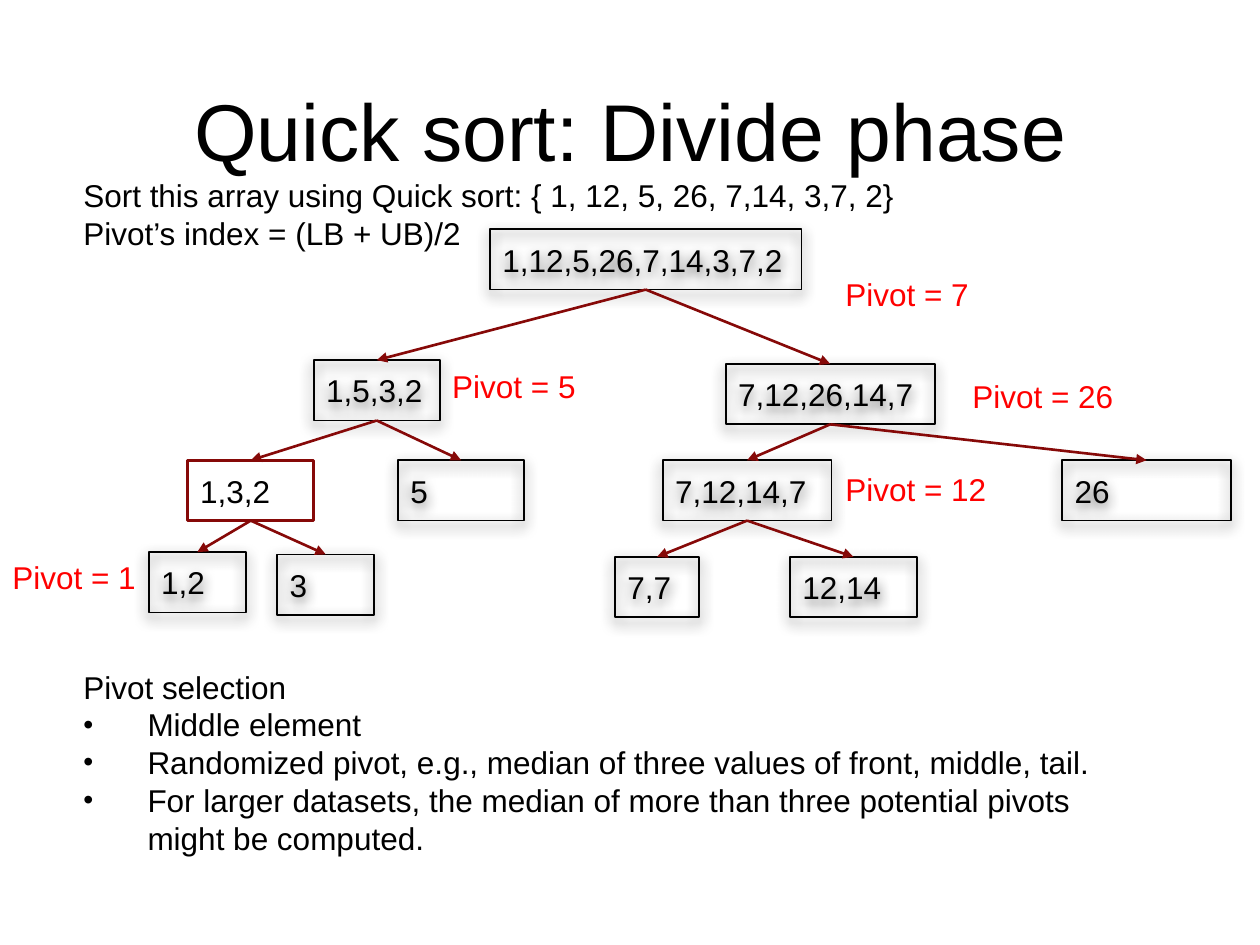
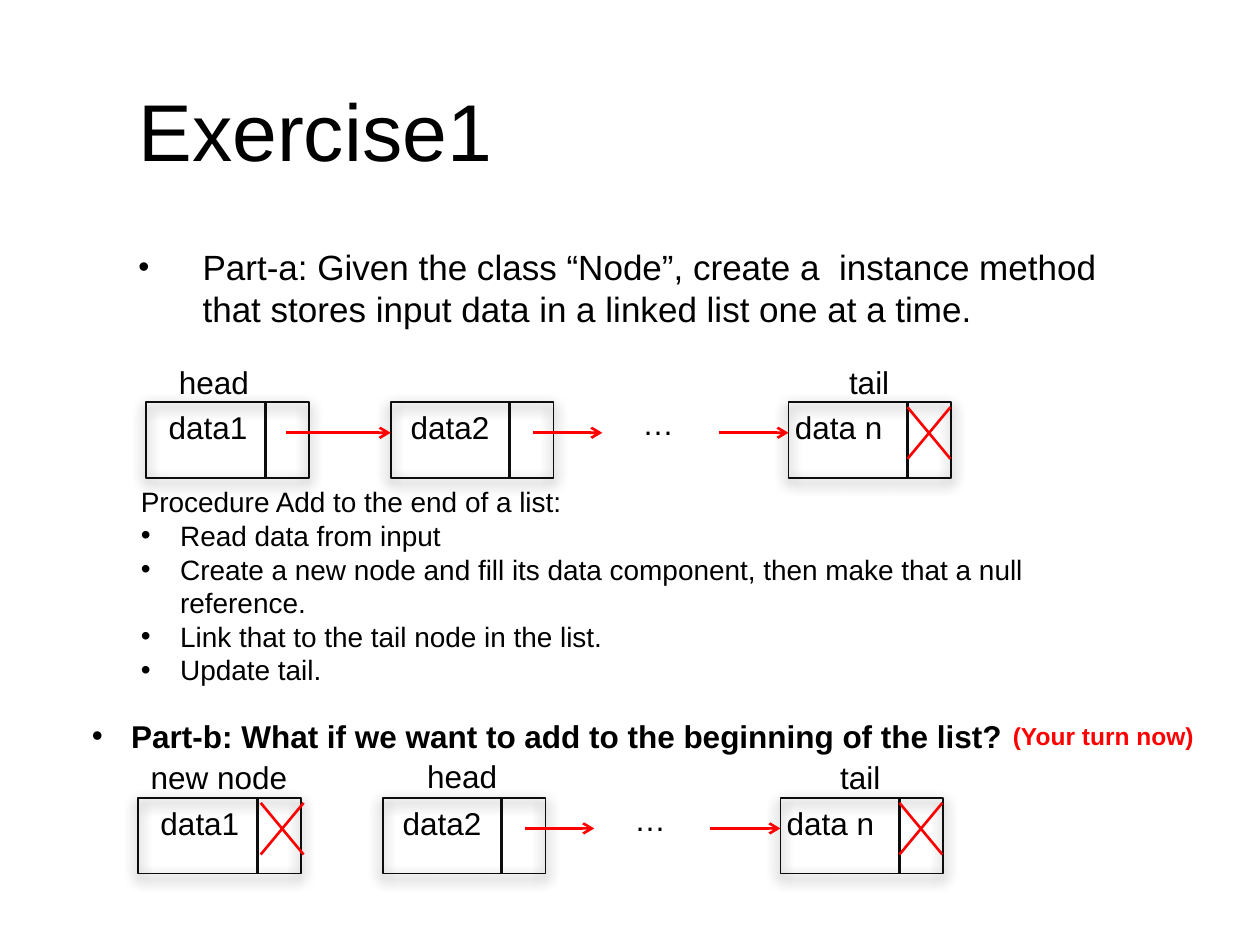
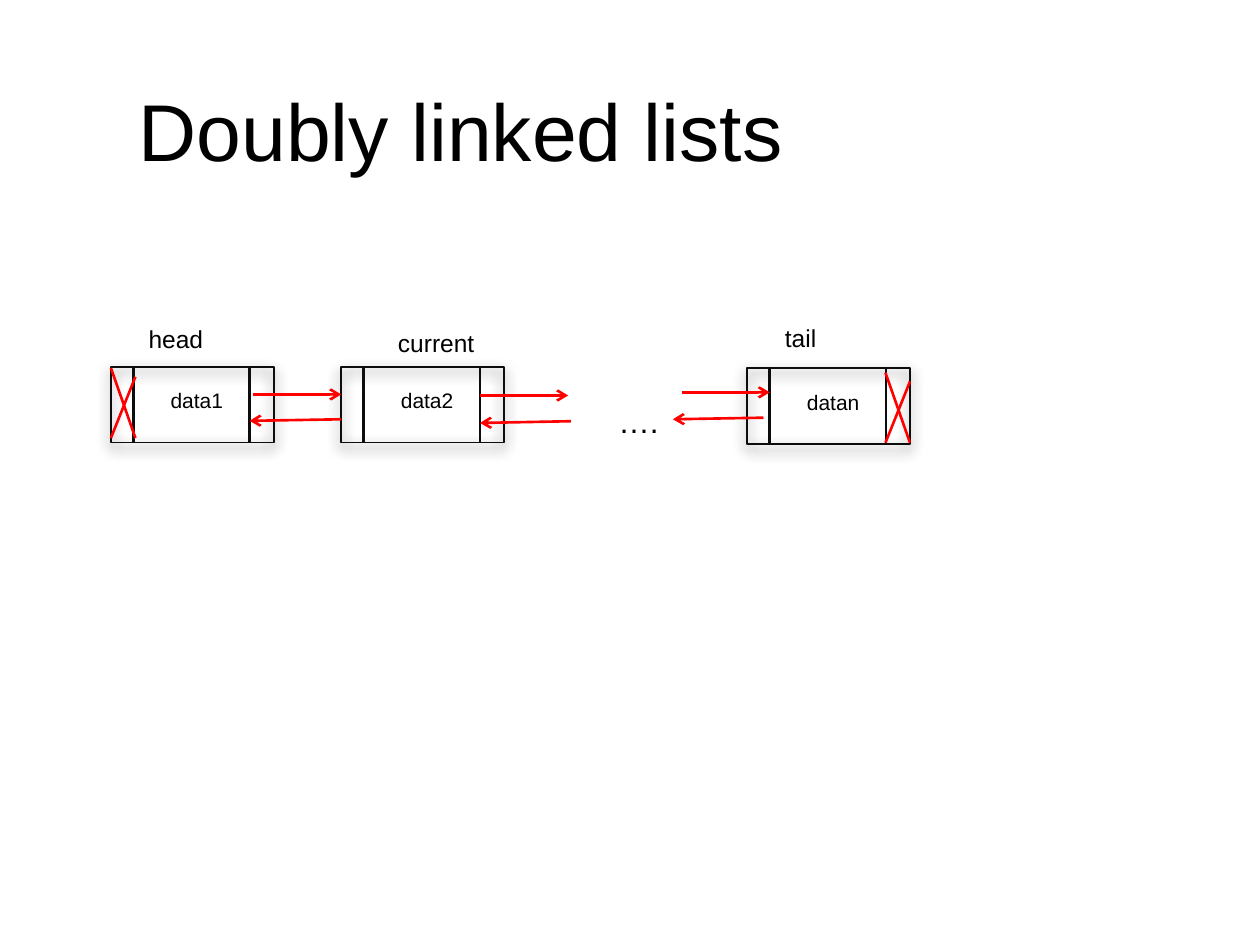
from dataclasses import dataclass
from typing import NamedTuple

from lxml import etree
from pptx import Presentation
from pptx.dml.color import RGBColor
from pptx.enum.shapes import MSO_CONNECTOR, MSO_SHAPE
from pptx.enum.text import MSO_ANCHOR, MSO_AUTO_SIZE, PP_ALIGN
from pptx.oxml.ns import qn
from pptx.shapes.autoshape import Shape
from pptx.shapes.connector import Connector
from pptx.slide import Slide
from pptx.text.text import TextFrame
from pptx.util import Pt

RECTANGLE = MSO_SHAPE.RECTANGLE
STRAIGHT = MSO_CONNECTOR.STRAIGHT
LEFT, CENTER = PP_ALIGN.LEFT, PP_ALIGN.CENTER
TOP, MIDDLE = MSO_ANCHOR.TOP, MSO_ANCHOR.MIDDLE
FIXED, GROW = MSO_AUTO_SIZE.NONE, MSO_AUTO_SIZE.SHAPE_TO_FIT_TEXT

FONT = "Arial"
COLORS = {"text": "000000", "node": "0D0D0D", "branch": "860908", "accent": "FF0000"}
TITLE_ONLY = 5
PART_HEIGHT = 34.5
NODE_WIDTH, NODE_HEIGHT = 93, 43.4
TOP_SITE, BOTTOM_SITE = 0, 2


@dataclass(frozen=True)
class ArrayPart:
    """One box of the divide tree; parent is the index of the box it came from."""
    text: str
    left: float
    top: float
    width: float
    parent: int | None = None
    outline: str = "text"


class Label(NamedTuple):
    text: str
    left: float
    top: float
    width: float


class Segment(NamedTuple):
    x1: float
    y1: float
    x2: float
    y2: float


@dataclass(frozen=True)
class Chain:
    """A singly linked list; label and link positions count from its left top corner."""
    left: float
    top: float
    names: tuple[Label, ...]
    links: tuple[tuple[float, float], ...]
    crosses: tuple[float, ...]


ARRAY_PARTS = (
    ArrayPart("1,12,5,26,7,14,3,7,2", 280, 131, 178),
    ArrayPart("1,5,3,2", 179.3, 205.8, 72, 0),
    ArrayPart("7,12,26,14,7", 414.7, 208, 119.5, 0),
    ArrayPart("1,3,2", 107.3, 263, 72, 1, "branch"),
    ArrayPart("5", 227.5, 263, 72, 1),
    ArrayPart("7,12,14,7", 378.7, 263, 96.5, 2),
    ArrayPart("26", 607, 263, 96.5, 2),
    ArrayPart("1,2", 85, 315.5, 55.5, 3),
    ArrayPart("3", 158.4, 316.8, 55.5, 3),
    ArrayPart("7,7", 351.4, 318.2, 48.2, 5),
    ArrayPart("12,14", 451.4, 318.2, 72.7, 5),
)
PIVOTS = (
    Label("Pivot = 7", 476, 153.4, 85.7),
    Label("Pivot = 5", 251.3, 206, 85.7),
    Label("Pivot = 26", 548.6, 211.7, 95.8),
    Label("Pivot = 1", 0, 315.4, 85.7),
    Label("Pivot = 12", 476, 265, 95.8),
)

CHAIN_NODES = (0, 139.7, 367)
CHAIN_TEXTS = (
    Label("data1", 5.6, 0, 68.4),
    Label("data2", 144, 0, 68.4),
    Label("data n", 363.5, 0, 74.2),
    Label("…", 276.4, -2.2, 32.4),
)
MIDDLE_LINKS = ((221, 260.6), (327, 367))
CHAINS = (
    Chain(83.6, 229.7,
          (Label("head", 11.5, -26, 62.6), Label("tail", 394.5, -26, 40.3)),
          ((80, 139.7), *MIDDLE_LINKS), (435,)),
    Chain(79, 455.8,
          (Label("new node", 0, -26, 105), Label("head", 158, -26.6, 62.6),
           Label("tail", 394, -26, 40.3)),
          MIDDLE_LINKS, (70, 435)),
)

DOUBLE_NODES = (
    Label("data1", 63.4, 209.5, 50.4),
    Label("data2", 195, 209.5, 50.4),
    Label("datan", 427, 210.4, 51.1),
)
DOUBLE_NAMES = (
    Label("head", 77.8, 181.5, 51.8),
    Label("tail", 441.4, 181.2, 34.6),
    Label("current", 220.3, 183.8, 63.4),
)
DOUBLE_LINKS = (
    Segment(144.7, 225.4, 195, 225.4),
    Segment(274.3, 226, 324.7, 226),
    Segment(389.5, 224.2, 439.9, 224.2),
    Segment(195, 239.6, 142.6, 240.5),
    Segment(326.2, 240.7, 274.3, 241.7),
    Segment(436.3, 238.7, 384.5, 239.6),
)


def write_text(
    frame: TextFrame, *paragraphs: str, size: float = 18, color: str = "text",
    bold: bool = False, align: PP_ALIGN = LEFT, anchor: MSO_ANCHOR = TOP,
    wrap: bool = True, fit: MSO_AUTO_SIZE = FIXED, bullets_from: int | None = None,
    indent: float = 22.5, bullet_percent: int = 100,
) -> None:
    """Fill a frame; paragraphs from index bullets_from on get a bullet."""
    frame.auto_size = fit
    frame.word_wrap = wrap
    frame.vertical_anchor = anchor
    for index, content in enumerate(paragraphs):
        paragraph = frame.paragraphs[0] if index == 0 else frame.add_paragraph()
        paragraph.alignment = align
        if bullets_from is not None and index >= bullets_from:
            properties = paragraph._p.get_or_add_pPr()
            properties.set("marL", str(Pt(indent)))
            properties.set("indent", str(-Pt(indent)))
            etree.SubElement(properties, qn("a:buSzPct"), val=str(bullet_percent * 1000))
            etree.SubElement(properties, qn("a:buFont"), typeface=FONT)
            etree.SubElement(properties, qn("a:buChar"), char="•")
        run = paragraph.add_run()
        run.text = content
        run.font.name = FONT
        run.font.size = Pt(size)
        run.font.bold = bold
        run.font.color.rgb = RGBColor.from_string(COLORS[color])


def add_text(slide: Slide, left: float, top: float, width: float, height: float,
             *paragraphs: str, **text_format) -> None:
    box = slide.shapes.add_textbox(Pt(left), Pt(top), Pt(width), Pt(height))
    write_text(box.text_frame, *paragraphs, **text_format)


def add_label(slide: Slide, label: Label, dx: float = 0, dy: float = 0,
              size: float = 18, **text_format) -> None:
    add_text(slide, label.left + dx, label.top + dy, label.width, size * 1.2 + 7.2,
             label.text, size=size, wrap=False, fit=GROW, **text_format)


def add_line(slide: Slide, segment: Segment, color: str, head: str | None = None) -> Connector:
    line = slide.shapes.add_connector(STRAIGHT, *(Pt(value) for value in segment))
    line.line.color.rgb = RGBColor.from_string(COLORS[color])
    line.line.width = Pt(1.5)
    properties = line.element.spPr
    if head:
        etree.SubElement(properties.find(qn("a:ln")), qn("a:tailEnd"), type=head)
    etree.SubElement(properties, qn("a:effectLst"))
    return line


def add_outline(slide: Slide, left: float, top: float, width: float, height: float,
                color: str, line_width: float = 1, shadow: bool = True) -> Shape:
    """Add an unfilled rectangle, by default with a soft shadow below it."""
    box = slide.shapes.add_shape(RECTANGLE, Pt(left), Pt(top), Pt(width), Pt(height))
    box.fill.background()
    box.line.color.rgb = RGBColor.from_string(COLORS[color])
    box.line.width = Pt(line_width)
    box.shadow.inherit = False
    if shadow:
        effects = box.element.spPr.find(qn("a:effectLst"))
        outer = etree.SubElement(effects, qn("a:outerShdw"), blurRad=str(Pt(8)),
                                 dist=str(Pt(3)), dir="5400000", rotWithShape="0")
        tone = etree.SubElement(outer, qn("a:srgbClr"), val=COLORS["text"])
        etree.SubElement(tone, qn("a:alpha"), val="75000")
    return box


def add_node(slide: Slide, left: float, top: float, *dividers: float) -> None:
    """Add a list node split by vertical lines at the given distances."""
    add_outline(slide, left, top, NODE_WIDTH, NODE_HEIGHT, "node")
    for divider in dividers:
        x = left + divider
        add_line(slide, Segment(x, top, x, top + NODE_HEIGHT), "node")


def add_cross(slide: Slide, left: float, top: float, width: float, height: float,
              drop: float = 0) -> None:
    """Mark a null reference; drop lowers the upper right end."""
    right, bottom = left + width, top + height
    add_line(slide, Segment(right, top + drop, left, bottom), "accent")
    add_line(slide, Segment(left, top, right, bottom), "accent")


def add_titled_slide(deck: Presentation, heading: str, align: PP_ALIGN = LEFT) -> Slide:
    slide = deck.slides.add_slide(deck.slide_layouts[TITLE_ONLY])
    title = slide.shapes.title
    title.left, title.top, title.width, title.height = Pt(72), Pt(39.6), Pt(576), Pt(68.4)
    write_text(title.text_frame, heading, size=46, align=align, anchor=MIDDLE)
    return slide


def build_quick_sort(deck: Presentation) -> None:
    slide = add_titled_slide(deck, "Quick sort: Divide phase", CENTER)
    add_text(slide, 40.5, 97.2, 594, 50,
             "Sort this array using Quick sort: { 1, 12, 5, 26, 7,14, 3,7, 2}",
             "Pivot’s index = (LB + UB)/2")
    add_text(slide, 40.5, 378, 594, 116,
             "Pivot selection",
             "Middle element",
             "Randomized pivot, e.g., median of three values of front, middle, tail.",
             "For larger datasets, the median of more than three potential pivots "
             "might be computed.",
             bullets_from=1, indent=36.7, bullet_percent=90)

    boxes = []
    for part in ARRAY_PARTS:
        plain = part.outline == "branch"
        box = add_outline(slide, part.left, part.top, part.width, PART_HEIGHT,
                          part.outline, 1.5 if plain else 1, not plain)
        write_text(box.text_frame, part.text, anchor=MIDDLE)
        boxes.append(box)
    for pivot in PIVOTS:
        add_label(slide, pivot, color="accent")
    for part, box in zip(ARRAY_PARTS, boxes):
        if part.parent is not None:
            source = ARRAY_PARTS[part.parent]
            branch = add_line(slide, Segment(source.left + source.width / 2,
                                             source.top + PART_HEIGHT,
                                             part.left + part.width / 2, part.top),
                              "branch", "triangle")
            branch.begin_connect(boxes[part.parent], BOTTOM_SITE)
            branch.end_connect(box, TOP_SITE)


def draw_chain(slide: Slide, chain: Chain) -> None:
    for node_left in CHAIN_NODES:
        add_node(slide, chain.left + node_left, chain.top, 68)
    for label in CHAIN_TEXTS + chain.names:
        add_label(slide, label, chain.left, chain.top)
    link_y = chain.top + 17.6
    for start, end in chain.links:
        add_line(slide, Segment(chain.left + start, link_y, chain.left + end, link_y),
                 "accent", "arrow")
    for cross_left in chain.crosses:
        add_cross(slide, chain.left + cross_left, chain.top + 3, 24.5, 29.5)


def build_exercise(deck: Presentation) -> None:
    slide = add_titled_slide(deck, "Exercise1")
    add_text(slide, 72, 136.8, 576, 60,
             "Part-a: Given the class “Node”, create a  instance method that stores "
             "input data in a linked list one at a time.",
             size=20, bullets_from=0, indent=36.7, bullet_percent=90)
    add_text(slide, 73.4, 273.6, 521.3, 123.8,
             "Procedure Add to the end of a list:",
             "Read data from input",
             "Create a new node and fill its data component, then make that a null reference.",
             "Link that to the tail node in the list.",
             "Update tail.",
             size=16, fit=GROW, bullets_from=1)
    for chain in CHAINS:
        draw_chain(slide, chain)
    add_label(slide, Label("Part-b: What if we want to add to the beginning of the list?",
                           45.4, 406, 558.7), bold=True, bullets_from=0)
    add_label(slide, Label("(Your turn now)", 571.7, 408.2, 118.8),
              size=14, color="accent", bold=True)


def build_doubly_linked(deck: Presentation) -> None:
    slide = add_titled_slide(deck, "Doubly linked lists")
    for node in DOUBLE_NODES:
        add_node(slide, node.left, node.top, 12.8, 79.2)
        add_label(slide, node, 27, 8.6, size=12)
    for link in DOUBLE_LINKS:
        add_line(slide, link, "accent", "arrow")
    add_cross(slide, 63.4, 210.3, 14, 40, drop=5)
    add_cross(slide, 506, 213, 14, 40, drop=5)
    add_label(slide, Label("….", 346.3, 226, 37.4))
    for name in DOUBLE_NAMES:
        add_label(slide, name, size=14)


def main() -> None:
    deck = Presentation()
    deck.slide_width, deck.slide_height = Pt(720), Pt(540)
    build_quick_sort(deck)
    build_exercise(deck)
    build_doubly_linked(deck)
    deck.save("out.pptx")


if __name__ == "__main__":
    main()
